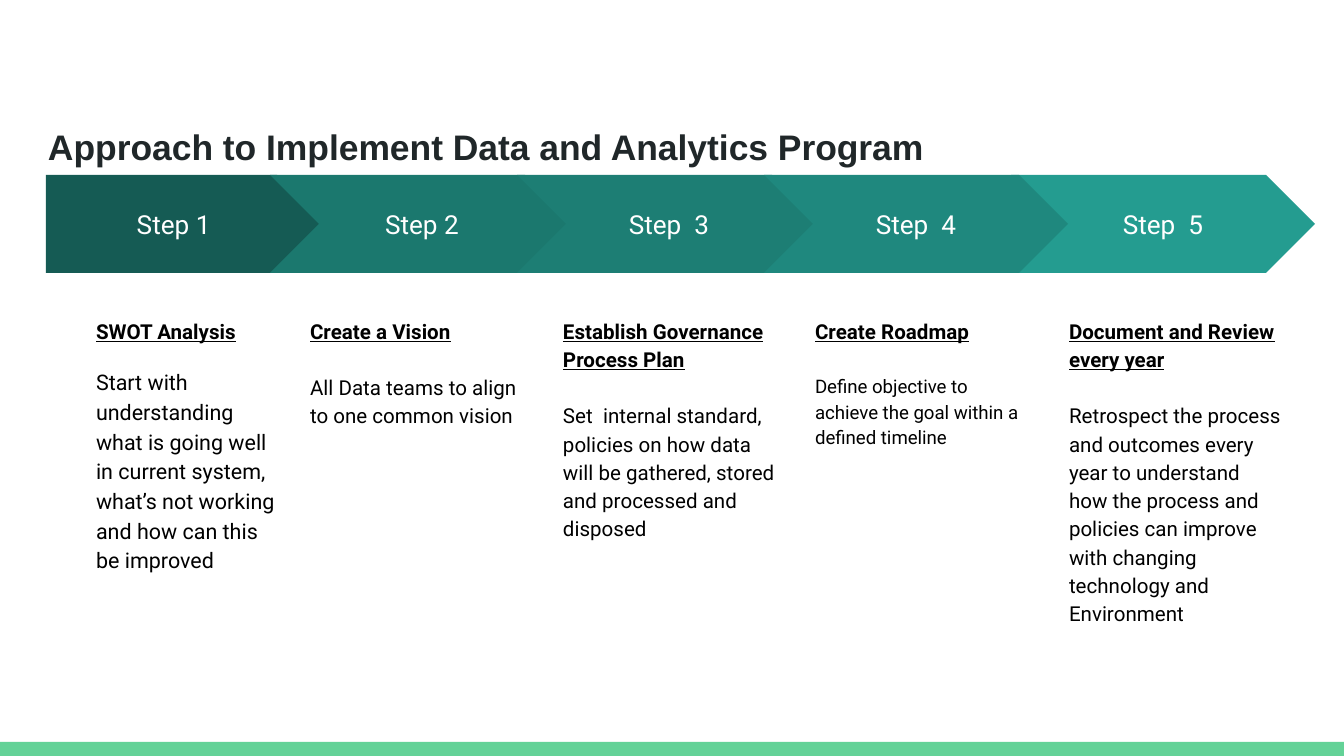
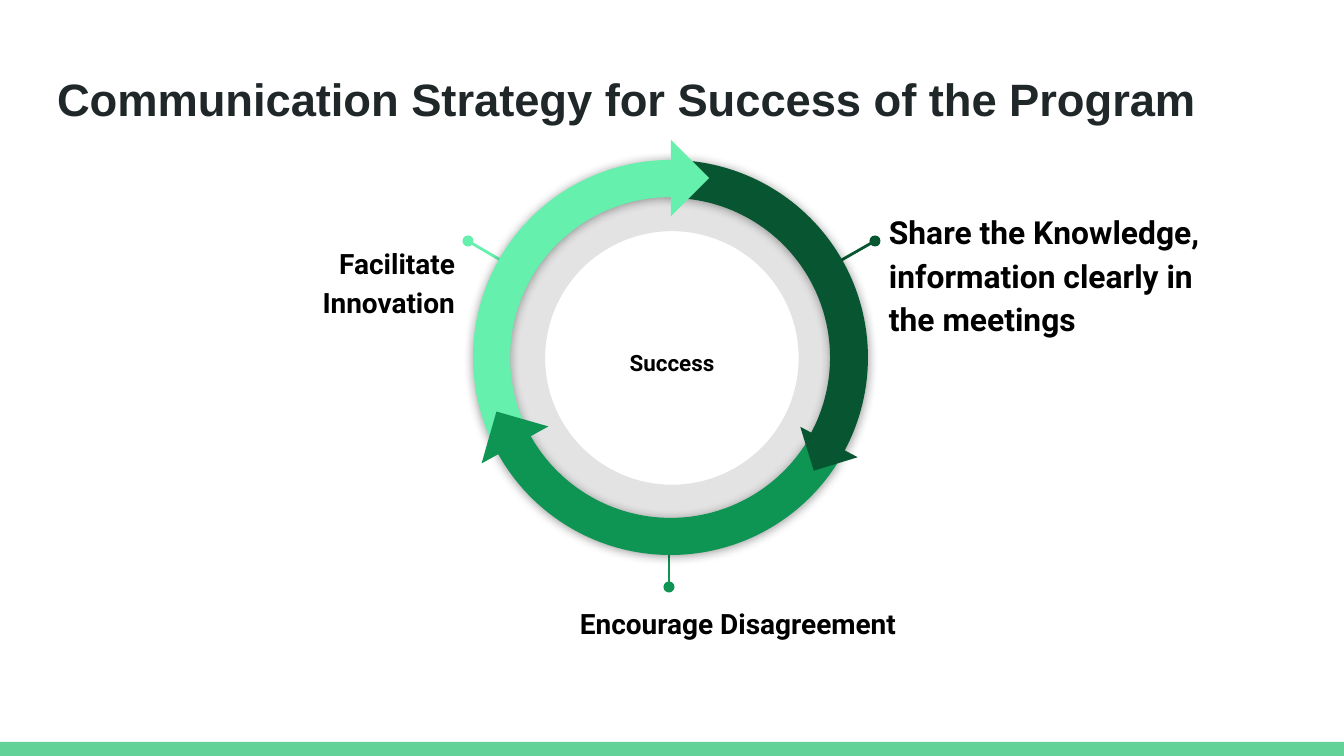
from lxml.etree import SubElement
from pptx import Presentation
from pptx.dml.color import RGBColor
from pptx.enum.shapes import MSO_CONNECTOR, MSO_SHAPE as SHAPE
from pptx.enum.text import MSO_ANCHOR as ANCHOR, MSO_AUTO_SIZE, PP_ALIGN as ALIGN
from pptx.oxml.ns import qn
from pptx.util import Pt

# Colours and fonts
BAND = RGBColor(0x63, 0xD2, 0x97)
TITLE = RGBColor(0x20, 0x27, 0x29)
BLACK = RGBColor(0x00, 0x00, 0x00)
WHITE = RGBColor(0xFF, 0xFF, 0xFF)
DARK = RGBColor(0x08, 0x56, 0x31)
GREEN = RGBColor(0x0E, 0x94, 0x53)
MINT = RGBColor(0x65, 0xF0, 0xAD)
TEALS = [RGBColor(0x15, 0x5B, 0x54), RGBColor(0x1B, 0x78, 0x6E), RGBColor(0x1D, 0x7E, 0x74),
         RGBColor(0x1F, 0x88, 0x7E), RGBColor(0x24, 0x9C, 0x90)]
HEAD_FONT, BODY_FONT = "Arial", "Roboto"

# Lengths are px at 134.4 to the inch
EMU_PER_PX = 914400 / 134.4
WIDTH, HEIGHT, BAND_H, INSET = 1344, 756, 14, 13

# Steps: label, heading, body, body size, gap above body (pt), text left, text width
STEPS = [
    ("Step 1", "SWOT Analysis",
     "Start with understanding what is going well in current system, what’s not working "
     "and how can this be improved", 11.5, 12, 83, 206),
    ("Step 2", "Create a Vision",
     "All Data teams to align to one common vision", 11, 15, 297, 239),
    ("Step  3", "Establish Governance Process Plan",
     "Set  internal standard, policies on how data will be gathered, stored and processed "
     "and disposed", 11, 15, 550, 239),
    ("Step  4", "Create Roadmap",
     "Define objective to achieve the goal within a defined timeline", 10, 15, 802, 239),
    ("Step  5", "Document and Review every year",
     "Retrospect the process and outcomes every year to understand how the process and "
     "policies can improve with changing technology and Environment", 11, 15, 1056, 239),
]
STACK = [0, 1, 2, 4, 3]  # back to front: step 4 overlaps both neighbours
FIRST_X, CHEVRON_X, CHEVRON_W, PITCH = 46, 270, 304, 247
STEP_Y, STEP_H, DETAIL_Y, DETAIL_H = 175, 98, 302, 345

# Cycle: colour, rotation, mirrored, start and end angle, thickness
ARCS = [
    (DARK, 30, False, 240.24, 0.01, 0.096),
    (MINT, 330, True, 239.14, 357.88, 0.094),
    (GREEN, 210, True, 238.6, 358.38, 0.094),
]
# Arrow tips: colour, left, top, size, rotation
TIPS = [(MINT, 644, 151, 54, 225), (DARK, 806, 419, 46, 342.9), (GREEN, 488, 418, 54, 106)]
# Pointers: colour, dot, end on the ring
POINTERS = [
    (MINT, (468, 241), (531, 278)),
    (DARK, (875, 241), (810, 278)),
    (GREEN, (669, 587), (669, 520)),
]
# Labels: text, box, size, alignment, anchor, top inset
LABELS = [
    ("Facilitate Innovation", (247, 194, 221, 98), 15, ALIGN.RIGHT, ANCHOR.TOP, 48),
    ("Share the Knowledge, information clearly in the meetings",
     (876, 194, 360, 227), 17, ALIGN.LEFT, ANCHOR.TOP, INSET),
    ("Encourage Disagreement", (556, 589, 364, 98), 15, ALIGN.CENTER, ANCHOR.TOP, INSET),
    ("Success", (566, 302, 212, 118), 12, ALIGN.CENTER, ANCHOR.MIDDLE, INSET),
]


def px(n):
    return round(n * EMU_PER_PX)


def add_shape(slide, kind, box, color, rotation=0):
    sp = slide.shapes.add_shape(kind, *map(px, box))
    sp.shadow.inherit = False
    sp.fill.solid()
    sp.fill.fore_color.rgb = color
    sp.line.fill.background()
    sp.rotation = rotation
    return sp


def frame(sp, anchor=ANCHOR.TOP, left=INSET, top=INSET):
    tf = sp.text_frame
    tf.word_wrap = True
    tf.vertical_anchor = anchor
    tf.margin_left, tf.margin_top = px(left), px(top)
    tf.margin_right = tf.margin_bottom = px(INSET)
    return tf


def add_frame(slide, box, **options):
    return frame(slide.shapes.add_textbox(*map(px, box)), **options)


def write(p, text, size, color=BLACK, font=BODY_FONT, bold=False, align=ALIGN.LEFT, spacing=1.15):
    p.text = text
    p.alignment = align
    p.line_spacing = spacing
    f = p.font
    f.name, f.size, f.bold = font, Pt(size), bold
    f.color.rgb = color


def add_title(slide, text, box, size, left=INSET):
    tf = add_frame(slide, box, left=left)
    write(tf.paragraphs[0], text, size, TITLE, HEAD_FONT, True, spacing=1.36)
    return tf


def add_slide(prs):
    slide = prs.slides.add_slide(prs.slide_layouts[6])
    add_shape(slide, SHAPE.RECTANGLE, (0, HEIGHT - BAND_H, WIDTH, BAND_H), BAND)
    return slide


def add_alpha(color_parent, percent):
    SubElement(color_parent, qn("a:alpha"), val=str(percent * 1000))


def add_soft_shadow(sp):
    effects = sp.element.spPr.find(qn("a:effectLst"))
    shadow = SubElement(effects, qn("a:outerShdw"), blurRad=str(Pt(5.6)), dist=str(Pt(0.8)),
                        dir="5400000", algn="bl", rotWithShape="0")
    add_alpha(SubElement(shadow, qn("a:srgbClr"), val=str(BLACK)), 40)


def add_pointer(slide, color, dot, end):
    line = slide.shapes.add_connector(MSO_CONNECTOR.STRAIGHT, *map(px, dot + end))
    line.line.color.rgb = color
    line.line.width = Pt(1.5)
    spPr = line.element.spPr
    SubElement(spPr.find(qn("a:ln")), qn("a:headEnd"), type="oval")
    SubElement(spPr, qn("a:effectLst"))


def build_steps(prs):
    slide = add_slide(prs)
    add_title(slide, "Approach to Implement Data and Analytics Program",
              (15, 97, 1154, 73), 19, left=33)
    for i in STACK:
        label, heading, body, size, gap, left, width = STEPS[i]
        # Arrow
        if i == 0:
            kind, x, w = SHAPE.PENTAGON, FIRST_X, 280
        else:
            kind, x, w = SHAPE.CHEVRON, CHEVRON_X + (i - 1) * PITCH, CHEVRON_W
        sp = add_shape(slide, kind, (x, STEP_Y, w, STEP_H), TEALS[i])
        write(frame(sp, ANCHOR.MIDDLE).paragraphs[0], label, 14, WHITE,
              align=ALIGN.CENTER, spacing=1.0)
        # Detail
        tf = add_frame(slide, (left, DETAIL_Y, width, DETAIL_H))
        p = tf.paragraphs[0]
        write(p, heading, 11, bold=True)
        p.font.underline = True
        p = tf.add_paragraph()
        write(p, body, size)
        p.space_before = Pt(gap)


def build_cycle(prs):
    slide = add_slide(prs)
    # Pale ring behind the cycle
    ring = add_shape(slide, SHAPE.DONUT, (485, 171, 374, 374), BLACK)
    ring.adjustments[0] = 0.161
    add_alpha(ring.element.spPr.find(qn("a:solidFill"))[0], 11)
    # Pointers and labels
    for pointer in POINTERS:
        add_pointer(slide, *pointer)
    for text, box, size, align, anchor, top in LABELS:
        tf = add_frame(slide, box, anchor=anchor, top=top)
        write(tf.paragraphs[0], text, size, bold=True, align=align)
    # Arcs and their arrow tips
    for color, rotation, mirrored, start, end, thickness in ARCS:
        arc = add_shape(slide, SHAPE.BLOCK_ARC, (473, 160, 395, 395), color, rotation)
        # Angles are stored in 60000ths of a degree, adjustments in 100000ths
        for n, value in enumerate((start * 0.6, end * 0.6, thickness)):
            arc.adjustments[n] = value
        if mirrored:
            arc.element.spPr.xfrm.set("flipH", "1")
        add_soft_shadow(arc)
    for color, x, y, size, rotation in TIPS:
        add_shape(slide, SHAPE.RIGHT_TRIANGLE, (x, y, size, size), color, rotation)
    tf = add_title(slide, "Communication Strategy for Success of the Program",
                   (44, 39, 1245, 164), 24.3)
    tf.auto_size = MSO_AUTO_SIZE.SHAPE_TO_FIT_TEXT


def main():
    prs = Presentation()
    prs.slide_width, prs.slide_height = px(WIDTH), px(HEIGHT)
    build_steps(prs)
    build_cycle(prs)
    prs.save("out.pptx")


if __name__ == "__main__":
    main()
